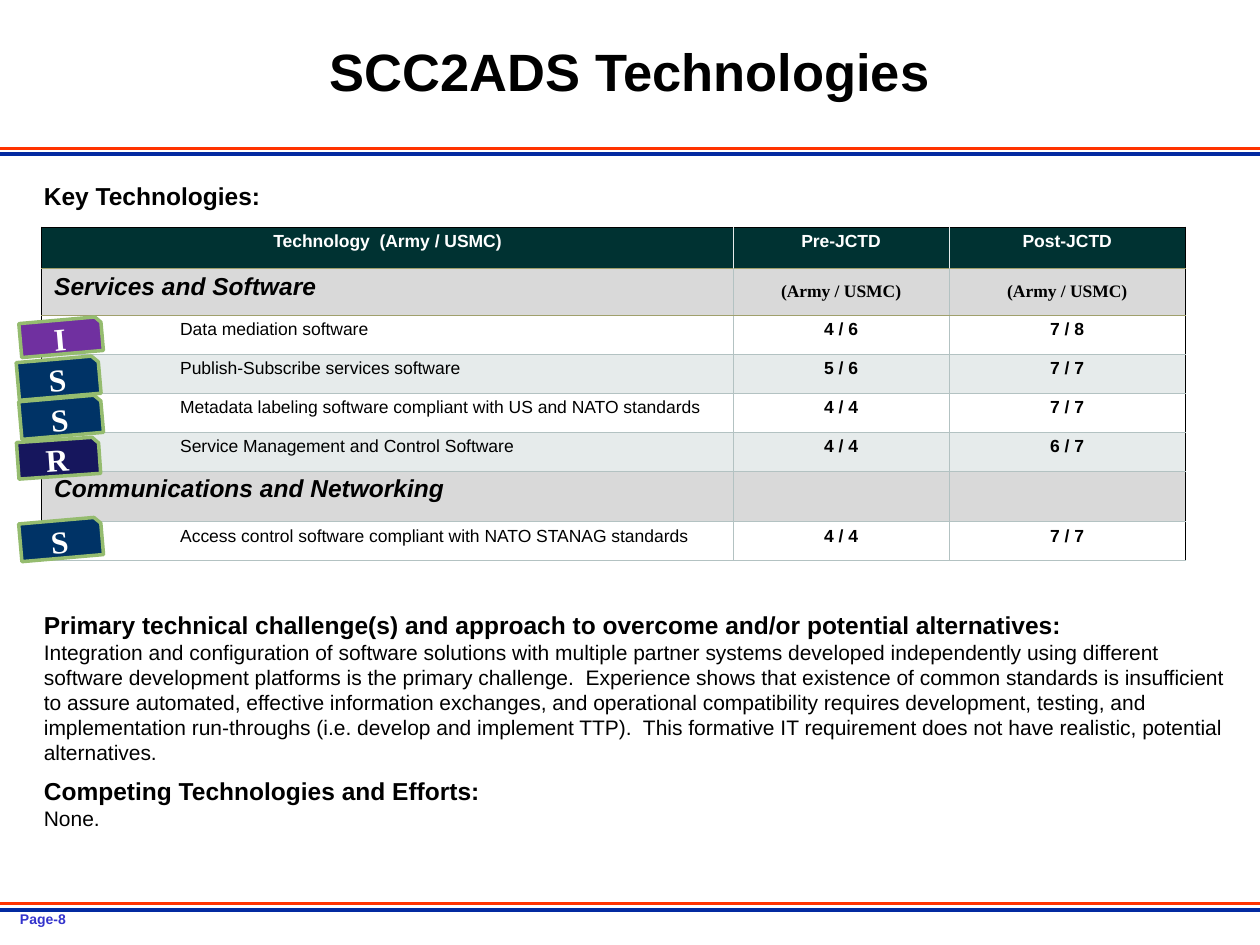
"""Build the SCC2ADS technologies slide with its maturity table and category badges."""
from dataclasses import dataclass
from typing import Any

from lxml.etree import SubElement
from pptx import Presentation
from pptx.dml.color import RGBColor
from pptx.enum.shapes import MSO_CONNECTOR, MSO_SHAPE
from pptx.enum.text import MSO_ANCHOR, PP_ALIGN
from pptx.oxml.ns import qn
from pptx.slide import Slide
from pptx.util import Inches, Pt

COLORS = {
    "black": "000000", "white": "FFFFFF", "orange": "FF3300", "blue": "032AA1",
    "page": "3333CC", "header": "003232", "section": "D9D9D9", "band": "E6EBEB",
    "grid": "B3C2C2", "olive": "A0A06C", "purple": "7030A0", "navy": "003366",
    "indigo": "16165D", "green": "95BC6F",
}
SANS, SERIF = "Arial", "Times New Roman"
HEADING = {"size": Pt(14), "bold": True}
BODY = {"size": Pt(12), "bold": False}
SMALL = {"size": Pt(10), "bold": True}
COLUMN_WIDTHS = [5.49, 1.71, 1.88]


@dataclass
class Line:
    text: str
    style: dict[str, Any]
    color: str = "black"
    layout: dict[str, Any] | None = None


@dataclass
class TextBlock:
    left: float
    top: float
    width: float
    height: float
    lines: list[Line]
    anchor: MSO_ANCHOR = MSO_ANCHOR.TOP


@dataclass
class Row:
    kind: str
    height: float
    technology: str
    before: str = ""
    after: str = ""


@dataclass
class Badge:
    letter: str
    left: float
    top: float
    height: float
    color: str
    rotation: int = 355


TEXT_BLOCKS = [
    TextBlock(0.06, 7.18, 1.81, 0.24, [Line("Page-8", {"size": Pt(8), "bold": True}, "page")]),
    TextBlock(1.17, 0.04, 7.66, 1.12, [
        Line("SCC2ADS Technologies", {"size": Pt(30), "bold": True},
             layout={"alignment": PP_ALIGN.CENTER, "line_spacing": 0.85}),
    ], MSO_ANCHOR.MIDDLE),
    TextBlock(0.25, 1.39, 9.67, 0.33, [Line("Key Technologies:", HEADING)]),
    TextBlock(0.25, 4.79, 9.67, 1.85, [
        Line("Primary technical challenge(s) and approach to overcome and/or potential "
             "alternatives:", HEADING),
        Line("Integration and configuration of software solutions with multiple partner systems "
             "developed independently using different software development platforms is the "
             "primary challenge.  Experience shows that existence of common standards is "
             "insufficient to assure automated, effective information exchanges, and operational "
             "compatibility requires development, testing, and implementation run-throughs (i.e. "
             "develop and implement TTP).  This formative IT requirement does not have "
             "realistic, potential alternatives.", BODY, layout={"space_after": Pt(6)}),
        Line("Competing Technologies and Efforts:", HEADING),
        Line("None.", BODY),
    ]),
]
ROWS = [
    Row("header", 0.33, "Technology  (Army / USMC)", "Pre-JCTD", "Post-JCTD"),
    Row("section", 0.37, "Services and Software", "(Army / USMC)", "(Army / USMC)"),
    Row("plain", 0.31, "Data mediation software", "4 / 6", "7 / 8"),
    Row("band", 0.31, "Publish-Subscribe services software", "5 / 6", "7 / 7"),
    Row("plain", 0.31, "Metadata labeling software compliant with US and NATO standards",
        "4 / 4", "7 / 7"),
    Row("band", 0.31, "Service Management and Control Software", "4 / 4", "6 / 7"),
    Row("section", 0.39, "Communications and Networking"),
    Row("plain", 0.31, "Access control software compliant with NATO STANAG standards",
        "4 / 4", "7 / 7"),
]
BADGES = [
    Badge("I", 0.16, 2.54, 0.27, "purple"),
    Badge("S", 0.14, 2.85, 0.3, "navy"),
    Badge("S", 0.16, 3.16, 0.3, "navy"),
    Badge("S", 0.16, 4.13, 0.3, "navy"),
    Badge("R", 0.14, 3.49, 0.29, "indigo", 356),
]


def rgb(name: str) -> RGBColor:
    """Return a palette colour."""
    return RGBColor.from_string(COLORS[name])


def apply(target: Any, values: dict[str, Any]) -> None:
    """Set every named attribute on the target."""
    for name, value in values.items():
        setattr(target, name, value)


def write(paragraph: Any, line: Line) -> None:
    """Write one formatted line into a paragraph."""
    apply(paragraph, line.layout or {})
    run = paragraph.add_run()
    run.text = line.text
    apply(run.font, {"name": SANS, **line.style})
    run.font.color.rgb = rgb(line.color)


def draw_rule(slide: Slide, y: float, color: str, weight: float) -> None:
    """Draw a rule across the whole slide."""
    rule = slide.shapes.add_connector(
        MSO_CONNECTOR.STRAIGHT, Inches(0), Inches(y), Inches(10), Inches(y))
    rule.line.color.rgb = rgb(color)
    rule.line.width = Pt(weight)
    SubElement(rule._element.spPr, qn("a:effectLst"))


def draw_text(slide: Slide, block: TextBlock) -> None:
    """Draw a text block line by line."""
    frame = slide.shapes.add_textbox(
        Inches(block.left), Inches(block.top), Inches(block.width), Inches(block.height)).text_frame
    apply(frame, {"word_wrap": True, "vertical_anchor": block.anchor})
    for index, line in enumerate(block.lines):
        write(frame.add_paragraph() if index else frame.paragraphs[0], line)


def add_borders(cell: Any, row: int, column: int) -> None:
    """Give a cell its four borders according to its place in the table."""
    inner = "band" if row == 0 else "grid"
    sides = {
        "L": "black" if column == 0 else inner,
        "R": "black" if column == len(COLUMN_WIDTHS) - 1 else inner,
        "T": "black" if row == 0 else "olive" if row <= 2 else "grid",
        "B": "olive" if row <= 1 else "grid",
    }
    properties = cell._tc.get_or_add_tcPr()
    for index, (side, color) in enumerate(sides.items()):
        border = properties.makeelement(
            qn(f"a:ln{side}"), {"w": str(Pt(0.34 if color == "olive" else 0.23))})
        SubElement(SubElement(border, qn("a:solidFill")), qn("a:srgbClr"), val=COLORS[color])
        properties.insert(index, border)


def fill_cell(cell: Any, row: Row, column: int, text: str) -> None:
    """Fill a cell and write its text in the style of its row."""
    if row.kind == "plain":
        cell.fill.background()
    else:
        cell.fill.solid()
        cell.fill.fore_color.rgb = rgb(row.kind)
    if not text:
        return
    style, layout = SMALL, {"alignment": PP_ALIGN.CENTER, "line_spacing": 0.93}
    paragraph = cell.text_frame.paragraphs[0]
    if row.kind == "section":
        if column:
            style = {**SMALL, "name": SERIF}
            cell.vertical_anchor = MSO_ANCHOR.MIDDLE
        else:
            style = {**HEADING, "italic": True}
            layout["alignment"] = PP_ALIGN.LEFT
    elif row.kind != "header" and column == 0:
        style = {**SMALL, "bold": False}
        layout.update(alignment=PP_ALIGN.LEFT, level=2)
        apply_indent = paragraph._p.get_or_add_pPr()
        apply_indent.set("marL", str(Inches(1)))
        apply_indent.set("indent", "0")
    write(paragraph, Line(text, style, "white" if row.kind == "header" else "black", layout))


def draw_table(slide: Slide) -> None:
    """Draw the technology table."""
    table = slide.shapes.add_table(
        len(ROWS), len(COLUMN_WIDTHS), Inches(0.33), Inches(1.8),
        Inches(sum(COLUMN_WIDTHS)), Inches(sum(row.height for row in ROWS))).table
    apply(table, {"first_row": False, "horz_banding": False})
    for column, width in zip(table.columns, COLUMN_WIDTHS):
        column.width = Inches(width)
    for r, row in enumerate(ROWS):
        table.rows[r].height = Inches(row.height)
        for c, text in enumerate((row.technology, row.before, row.after)):
            fill_cell(table.cell(r, c), row, c, text)
            add_borders(table.cell(r, c), r, c)


def draw_badge(slide: Slide, badge: Badge) -> None:
    """Draw a tilted category badge."""
    tag = slide.shapes.add_shape(
        MSO_SHAPE.SNIP_1_RECTANGLE, Inches(badge.left), Inches(badge.top),
        Inches(0.65), Inches(badge.height))
    tag.rotation = badge.rotation
    tag.shadow.inherit = False
    tag.fill.solid()
    tag.fill.fore_color.rgb = rgb(badge.color)
    tag.line.color.rgb = rgb("green")
    tag.line.width = Pt(2)
    apply(tag.text_frame, {"word_wrap": True, "vertical_anchor": MSO_ANCHOR.MIDDLE})
    write(tag.text_frame.paragraphs[0], Line(
        badge.letter, {"size": Pt(18), "bold": True, "name": SERIF}, "white",
        {"alignment": PP_ALIGN.CENTER}))


def main() -> None:
    """Build and save the slide."""
    deck = Presentation()
    apply(deck, {"slide_width": Inches(10), "slide_height": Inches(7.5)})
    slide = deck.slides.add_slide(deck.slide_layouts[6])
    for blue_y, orange_y in ((1.22, 1.18), (7.22, 7.17)):
        draw_rule(slide, blue_y, "blue", 2.25)
        draw_rule(slide, orange_y, "orange", 2)
    for block in TEXT_BLOCKS:
        draw_text(slide, block)
    draw_table(slide)
    for badge in BADGES:
        draw_badge(slide, badge)
    deck.save("out.pptx")


if __name__ == "__main__":
    main()
